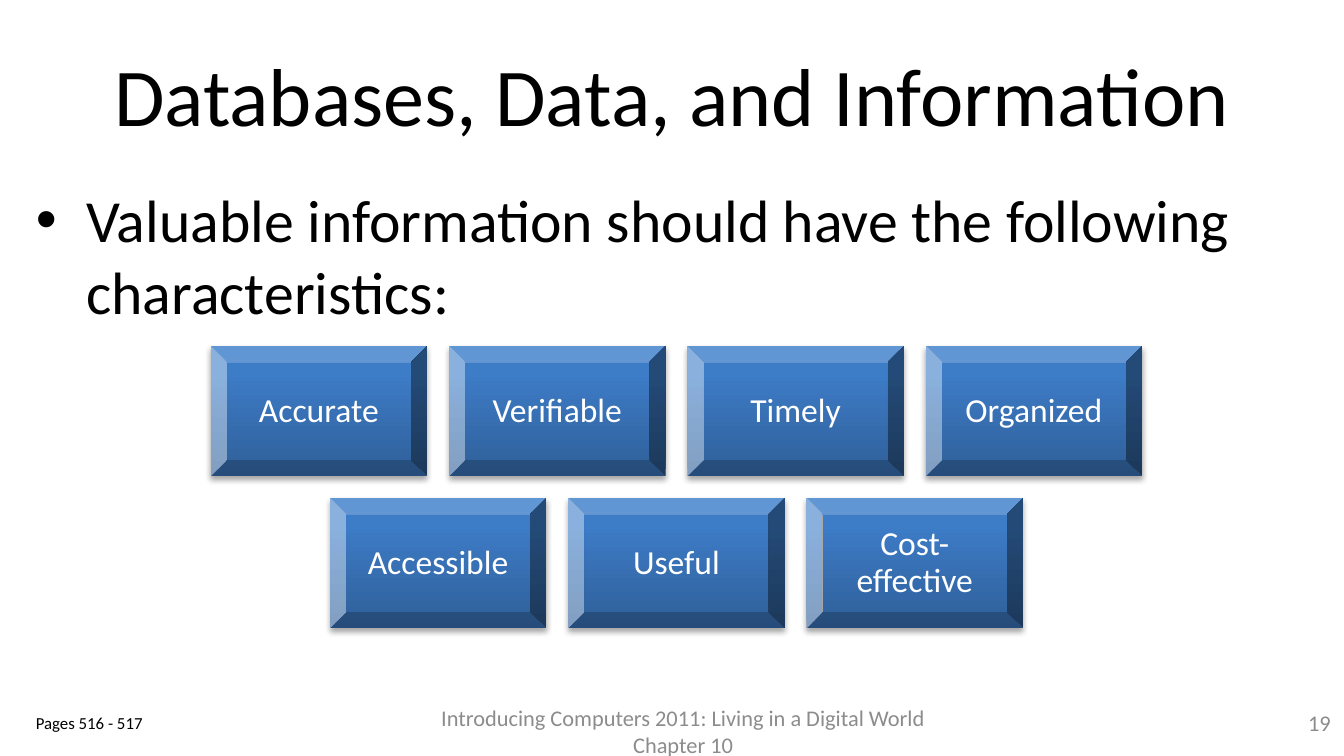
from copy import deepcopy

from pptx import Presentation
from pptx.dml.color import RGBColor
from pptx.enum.shapes import MSO_SHAPE
from pptx.enum.text import MSO_ANCHOR, PP_ALIGN
from pptx.oxml import parse_xml
from pptx.oxml.ns import nsdecls, qn
from pptx.util import Inches, Pt

COLUMN = Inches(10) // 60
ROW = Inches(5.625) // 45
FONT = "Calibri"
BLACK, GREY, WHITE = "000000", "8C8C8C", "FFFFFF"
TILE_GRADIENT = [(0, "2F5F99"), (0.8, "3D7CC7"), (1, "3A7CCB")]
TILE_ROWS = [
    ["Accurate", "Verifiable", "Timely", "Organized"],
    ["Accessible", "Useful", "Cost-effective"],
]


def color(hex_string):
    """Return the colour for a hex string."""
    return RGBColor.from_string(hex_string)


def grid_box(column, row, columns, rows):
    """Return left, top, width and height for a box given in grid units."""
    return [round(length) for length in
            (column * COLUMN, row * ROW, columns * COLUMN, rows * ROW)]


def write(shape, text, size, hex_string, align=None, anchor=None):
    """Put one formatted paragraph in a shape and return it."""
    frame = shape.text_frame
    frame.word_wrap = True
    if anchor is not None:
        frame.vertical_anchor = anchor
    paragraph = frame.paragraphs[0]
    paragraph.text = text
    paragraph.alignment = align
    paragraph.font.name = FONT
    paragraph.font.size = Pt(size)
    paragraph.font.color.rgb = color(hex_string)
    return paragraph


def fill_placeholder(placeholder, box, *text_format):
    """Place a template placeholder in its box and write its text."""
    placeholder.left, placeholder.top, placeholder.width, placeholder.height = box
    return write(placeholder, *text_format)


def add_label(slide, box, text, align):
    """Add a small grey footer text."""
    write(slide.shapes.add_textbox(*box), text, 12, GREY, align, MSO_ANCHOR.MIDDLE)


def add_tile(slide, box, text):
    """Add a bevelled tile with a gradient, a soft shadow and centred text."""
    tile = slide.shapes.add_shape(MSO_SHAPE.BEVEL, *box)
    tile.line.fill.background()
    tile.fill.gradient()
    tile.fill.gradient_angle = 90
    properties = tile.element.spPr
    stops = properties.find(".//" + qn("a:gsLst"))
    stops.insert(1, deepcopy(stops[0]))
    for stop, (position, hex_string) in zip(tile.fill.gradient_stops, TILE_GRADIENT):
        stop.position = position
        stop.color.rgb = color(hex_string)
    properties.append(parse_xml(
        f'<a:effectLst {nsdecls("a")}><a:outerShdw blurRad="{Pt(3.1)}" '
        f'dist="{Pt(1.8)}" dir="5400000" rotWithShape="0"><a:srgbClr val="{BLACK}">'
        '<a:alpha val="35000"/></a:srgbClr></a:outerShdw></a:effectLst>'))
    frame = tile.text_frame
    frame.margin_left = frame.margin_right = Inches(0.07)
    frame.margin_top = frame.margin_bottom = Inches(0.07)
    paragraph = write(tile, text, 18, WHITE, PP_ALIGN.CENTER, MSO_ANCHOR.MIDDLE)
    paragraph.line_spacing = 0.9


def add_tile_rows(slide, center, top, tile_rows):
    """Add rows of equal tiles, each row centred on the same column."""
    width, height, column_gap, row_gap = 9.67, 7.75, 0.97, 1.3
    for row_index, labels in enumerate(tile_rows):
        step = width + column_gap
        left = center - (len(labels) * step - column_gap) / 2
        row = top + row_index * (height + row_gap)
        for index, label in enumerate(labels):
            add_tile(slide, grid_box(left + index * step, row, width, height), label)


def build_slide(presentation):
    """Build the slide about the characteristics of valuable information."""
    slide = presentation.slides.add_slide(presentation.slide_layouts[3])
    title, body, pages = slide.placeholders
    fill_placeholder(title, grid_box(3, 1.8, 54, 7.5),
                     "Databases, Data, and Information", 44, BLACK,
                     PP_ALIGN.CENTER, MSO_ANCHOR.MIDDLE)
    fill_placeholder(body, grid_box(1, 10.5, 58, 30.5),
                     "Valuable information should have the following characteristics:",
                     32, BLACK)
    reference = fill_placeholder(pages, grid_box(1, 42, 11, 3),
                                 "Pages 516 - 517", 9, BLACK)
    reference._p.get_or_add_pPr().append(parse_xml(f'<a:buNone {nsdecls("a")}/>'))
    add_label(slide, grid_box(18, 42, 25, 3),
              "Introducing Computers 2011: Living in a Digital World Chapter 10",
              PP_ALIGN.CENTER)
    add_label(slide, grid_box(56, 41, 4, 4), "19", PP_ALIGN.RIGHT)
    add_tile_rows(slide, 30.2, 20.6, TILE_ROWS)


def main():
    """Create the presentation and save it."""
    presentation = Presentation()
    presentation.slide_width = 60 * COLUMN
    presentation.slide_height = 45 * ROW
    build_slide(presentation)
    presentation.save("out.pptx")


if __name__ == "__main__":
    main()
